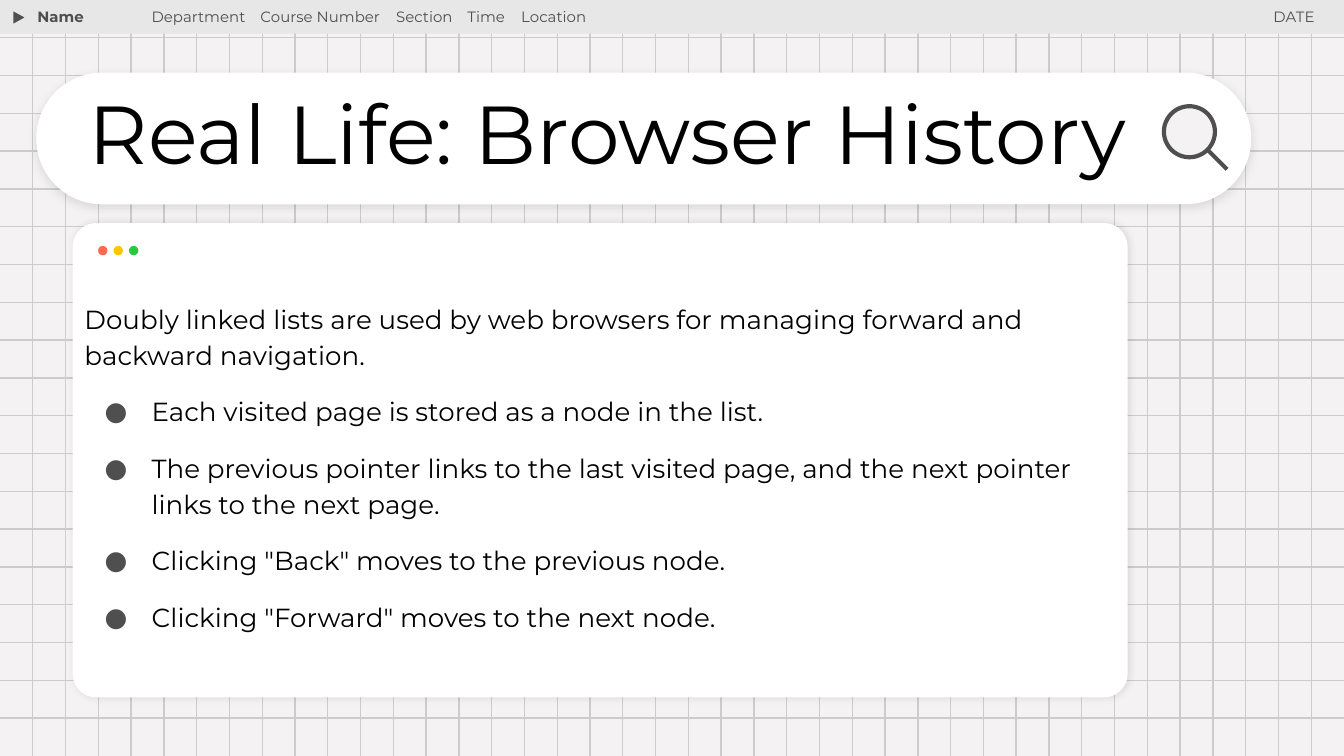
from lxml.etree import SubElement
from pptx import Presentation
from pptx.dml.color import RGBColor
from pptx.enum.shapes import MSO_CONNECTOR, MSO_SHAPE
from pptx.enum.text import MSO_ANCHOR, MSO_AUTO_SIZE, PP_ALIGN
from pptx.oxml.ns import qn
from pptx.util import Inches, Pt

SLIDE_WIDTH, SLIDE_HEIGHT = 10, 10 * 9 / 16
FONT = "Montserrat"
BLACK, GREY, WHITE = "000000", "4F4F4F", "FFFFFF"
PAPER, GRID, BAR = "F4F2F2", "CCCCCC", "E7E7E7"
DOT_COLORS = ["FF6B4D", "FFC600", "28C840"]

COURSE_FIELDS = ["Department", "Course Number", "Section", "Time", "Location"]
FIELD_STOPS = [0.81, 1.82, 2.35, 2.75]

TITLE = "Real Life: Browser History"
INTRO = ("Doubly linked lists are used by web browsers for managing "
         "forward and backward navigation.")
POINTS = [
    "Each visited page is stored as a node in the list.",
    "The previous pointer links to the last visited page, "
    "and the next pointer links to the next page.",
    'Clicking "Back" moves to the previous node.',
    'Clicking "Forward" moves to the next node.',
]


def color(value):
    return RGBColor.from_string(value)


def add_box(slide, kind, left, top, width, height, fill, line=None, weight=0.75):
    shape = slide.shapes.add_shape(
        kind, Inches(left), Inches(top), Inches(width), Inches(height))
    shape.shadow.inherit = False
    shape.fill.solid()
    shape.fill.fore_color.rgb = color(fill)
    if line:
        shape.line.color.rgb = color(line)
        shape.line.width = Pt(weight)
    else:
        shape.line.fill.background()
    return shape


def add_line(slide, x1, y1, x2, y2, stroke, weight):
    line = slide.shapes.add_connector(
        MSO_CONNECTOR.STRAIGHT, Inches(x1), Inches(y1), Inches(x2), Inches(y2))
    line.line.color.rgb = color(stroke)
    line.line.width = Pt(weight)
    SubElement(line.element.spPr, qn("a:effectLst"))


def add_shadow(shape, opacity, direction):
    effects = shape.element.spPr.find(qn("a:effectLst"))
    shadow = SubElement(
        effects, qn("a:outerShdw"), blurRad=str(Pt(4.5)), dist=str(Pt(1.5)),
        dir=str(direction * 60000), algn="bl", rotWithShape="0")
    shade = SubElement(shadow, qn("a:srgbClr"), val=BLACK)
    SubElement(shade, qn("a:alpha"), val=str(opacity * 1000))


def format_frame(shape, anchor=MSO_ANCHOR.TOP):
    frame = shape.text_frame
    frame.word_wrap = True
    frame.auto_size = MSO_AUTO_SIZE.NONE
    frame.vertical_anchor = anchor
    frame.margin_left = frame.margin_right = Inches(0.1)
    frame.margin_top = frame.margin_bottom = Inches(0.1)
    return frame


def add_text(slide, left, top, width, height):
    return format_frame(slide.shapes.add_textbox(
        Inches(left), Inches(top), Inches(width), Inches(height)))


def add_run(paragraph, text, size, fill, bold=False):
    run = paragraph.add_run()
    run.text = text
    run.font.name = FONT
    run.font.size = Pt(size)
    run.font.bold = bold
    run.font.color.rgb = color(fill)


def add_grid(slide, width, height, columns=41, rows=20):
    for row in range(1, rows):
        y = height * row / rows
        add_line(slide, 0, y, width, y, GRID, 0.75)
    for column in range(1, columns):
        x = width * column / columns
        add_line(slide, x, 0, x, height, GRID, 0.75)


def add_header(slide, left, top, width, height):
    add_box(slide, MSO_SHAPE.RECTANGLE, left, top, width, height, BAR)
    arrow = add_box(slide, MSO_SHAPE.ISOSCELES_TRIANGLE,
                    left + 0.09, top + 0.08, 0.11, 0.1, GREY, BAR)
    arrow.rotation = 90

    text_top, text_height = top - 0.04, 0.47
    name = add_text(slide, left + 0.18, text_top, 1.28, text_height)
    add_run(name.paragraphs[0], "Name", 8, GREY, bold=True)

    # Course fields, spaced by tab stops
    fields = add_text(slide, left + 1.03, text_top, 4.17, text_height).paragraphs[0]
    add_run(fields, "\t".join(COURSE_FIELDS), 8, GREY)
    stops = SubElement(fields._p.get_or_add_pPr(), qn("a:tabLst"))
    for stop in FIELD_STOPS:
        SubElement(stops, qn("a:tab"), pos=str(Inches(stop)), algn="l")

    date = add_text(slide, left + width - 1.79, text_top, 1.67, text_height).paragraphs[0]
    date.alignment = PP_ALIGN.RIGHT
    add_run(date, "DATE", 8, GREY)


def add_search_title(slide, left, top, width, height):
    pill = add_box(slide, MSO_SHAPE.ROUNDED_RECTANGLE, left, top, width, height, WHITE)
    pill.adjustments[0] = 0.5
    add_shadow(pill, 10, 90)

    # Magnifier
    add_box(slide, MSO_SHAPE.OVAL, left + width - 0.65, top + 0.25,
            0.38, 0.38, PAPER, GREY, 2.25)
    add_line(slide, left + width - 0.33, top + 0.57,
             left + width - 0.18, top + 0.72, GREY, 2.25)

    # Title, stacked just above the pill
    title = slide.shapes.title
    title.left, title.top = Inches(left + 0.29), Inches(top + 0.05)
    title.width, title.height = Inches(8.54), Inches(0.87)
    pill.element.addnext(title.element)
    paragraph = format_frame(title, MSO_ANCHOR.MIDDLE).paragraphs[0]
    paragraph.alignment = PP_ALIGN.LEFT
    paragraph.line_spacing = 0.9
    add_run(paragraph, TITLE, 44, BLACK)


def add_bullet(paragraph):
    properties = paragraph._p.get_or_add_pPr()
    properties.set("marL", str(Inches(0.5)))
    properties.set("indent", str(Inches(-0.35)))
    bullet_color = SubElement(properties, qn("a:buClr"))
    SubElement(bullet_color, qn("a:srgbClr"), val=GREY)
    SubElement(properties, qn("a:buFont"), typeface=FONT)
    SubElement(properties, qn("a:buChar"), char="●")


def add_window(slide, left, top, width, height):
    window = add_box(slide, MSO_SHAPE.ROUNDED_RECTANGLE, left, top, width, height, WHITE)
    window.adjustments[0] = 0.05
    add_shadow(window, 11, 0)

    # Explanation and bullet points
    frame = add_text(slide, left - 0.01, top + 0.46, width - 0.17, 2.68)
    for index, text in enumerate([INTRO, *POINTS]):
        paragraph = frame.add_paragraph() if index else frame.paragraphs[0]
        paragraph.line_spacing = 1.15
        if index:
            paragraph.space_before = Pt(11)
            add_bullet(paragraph)
        add_run(paragraph, text, 14, BLACK)

    # Window buttons
    for index, fill in enumerate(DOT_COLORS):
        add_box(slide, MSO_SHAPE.OVAL, left + 0.19 + 0.115 * index, top + 0.17,
                0.07, 0.07, fill)


def main():
    presentation = Presentation()
    presentation.slide_width = Inches(SLIDE_WIDTH)
    presentation.slide_height = Inches(SLIDE_HEIGHT)
    slide = presentation.slides.add_slide(presentation.slide_layouts[5])
    slide.background.fill.solid()
    slide.background.fill.fore_color.rgb = color(PAPER)

    add_grid(slide, SLIDE_WIDTH, SLIDE_HEIGHT)
    add_header(slide, 0, 0, SLIDE_WIDTH, 0.25)
    add_search_title(slide, 0.27, 0.54, 9.04, 0.98)
    add_window(slide, 0.54, 1.66, 7.85, 3.53)
    presentation.save("out.pptx")


if __name__ == "__main__":
    main()
